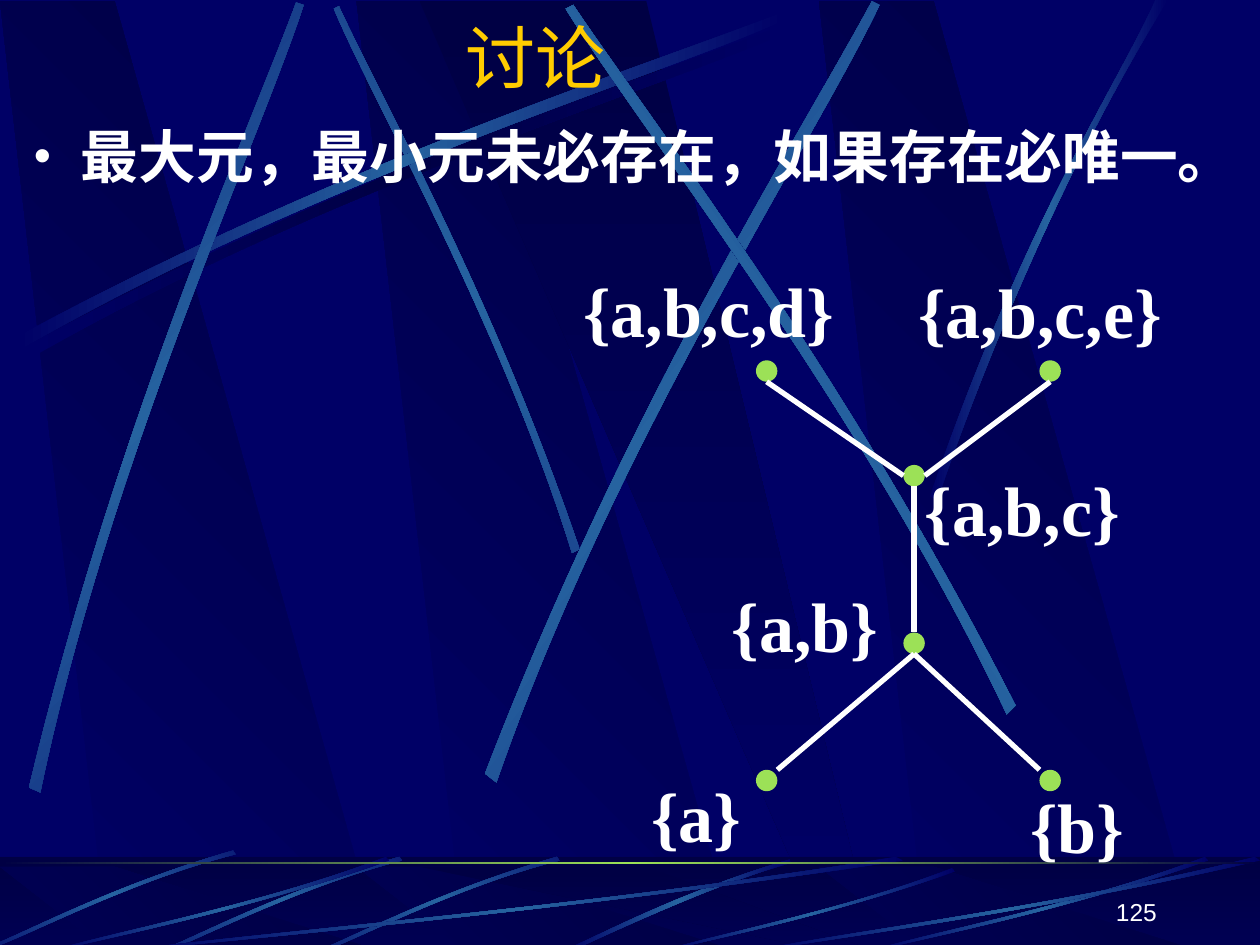
from dataclasses import dataclass
from math import cos, radians, sin

from lxml.etree import SubElement
from pptx import Presentation
from pptx.dml.color import RGBColor
from pptx.enum.shapes import MSO_CONNECTOR as Connector, MSO_SHAPE as Shape
from pptx.enum.text import MSO_ANCHOR as Anchor, MSO_AUTO_SIZE as AutoSize, PP_ALIGN as Align
from pptx.oxml.ns import qn
from pptx.util import Cm, Pt


@dataclass(frozen=True)
class Theme:
    navy: str = "000066"
    dark: str = "000044"
    blue: str = "2663A0"
    green: str = "9CE157"
    gold: str = "FFCC00"
    white: str = "FFFFFF"
    heading: str = "Montserrat"
    sans: str = "Arial"
    serif: str = "Times New Roman"
    title_size: int = 40
    body_size: int = 33
    label_size: int = 40
    number_size: int = 14
    edge_width: int = 3


THEME = Theme()
GLOW = (THEME.navy, THEME.blue, THEME.navy)
SHADE = (THEME.navy, THEME.dark, THEME.navy)
DOT = 0.17

# Bands: x, y as seen from the band's left edge, y as a share of its height
BAND = [(0.86, 1), (3.02, 1), (0.91, 0), (0, 0)]
WEDGE = [(0, 0), (3.25, 1), (3.61, 1), (1.8, 0)]

# Ribbons: two Bezier curves, there and back (4 points each)
LONG_RIBBON = [(0.14, 2.67), (2.78, 1.25), (5.18, 0.51), (6.2, 0.1),
               (6.23, 0.16), (5.22, 0.61), (2.48, 1.43), (0.17, 2.77)]
SHORT_RIBBON = [(4.6, 4.36), (3.91, 2.34), (3.02, 0.77), (2.69, 0.05),
                (2.65, 0.07), (2.95, 0.79), (3.98, 2.58), (4.54, 4.39)]
UPPER_RIBBONS = [
    (311.7, [(0.23, 6.25), (0.93, 3.34), (1.97, 1.05), (2.35, 0.02),
             (2.41, 0.04), (2.07, 1.09), (0.86, 3.68), (0.32, 6.29)]),
    (321.6, [(3.85, 6.14), (4.98, 3.2), (6.38, 1.02), (6.92, 0.01),
             (6.98, 0.04), (6.49, 1.08), (4.86, 3.55), (3.94, 6.21)]),
    (34.7, [(8.06, 5.6), (6.7, 2.93), (5.16, 0.95), (4.55, 0.04),
            (4.49, 0.07), (5.07, 1.01), (6.85, 3.25), (7.99, 5.67)]),
    (0, [(7.38, 3.94), (8.14, 1.73), (8.88, 0.66), (9.17, 0),
         (9.27, 0), (8.36, 1.45), (7.69, 3.22), (7.44, 3.97)]),
]
FOOT_RIBBON = [(6.27, 6.82), (5.37, 7.09), (4.77, 7.42), (4.48, 7.54),
               (4.53, 7.55), (4.9, 7.38), (5.71, 7), (6.28, 6.85)]
FOOT_TWIG = [(4.42, 6.8), (3.55, 7.05), (2.87, 7.4), (2.56, 7.53),
             (2.57, 7.55), (2.88, 7.43), (3.65, 7.03), (4.44, 6.83)]
SWEEP = [(1, 0.04), (0.57, 0.57), (0.17, 0.85), (0, 1),
         (0, 0.99), (0.16, 0.81), (0.62, 0.51), (0.99, 0)]
SWEEPS = [(1, 6.8, 6.17), (0.42, 6.8, 2.67), (5.27, 6.89, 2.31), (6.92, 6.8, 2.67), (6, 6.8, 4)]

# Hasse diagram: label -> dot corner, label corner and width
NODES = {
    "{a}": ((6, 6.11), (5.07, 5.95, 1.01)),
    "{b}": ((8.25, 6.11), (8.08, 6.04, 1.05)),
    "{a,b}": ((7.17, 5.02), (5.71, 4.44, 1.46)),
    "{a,b,c}": ((7.17, 3.69), (7.24, 3.52, 1.85)),
    "{a,b,c,d}": ((6, 2.86), (4.53, 1.94, 2.3)),
    "{a,b,c,e}": ((8.25, 2.86), (7.19, 1.95, 2.23)),
}
TOP, BOTTOM, LEFT, RIGHT = (0.5, 0), (0.5, 1), (0, 0.5), (1, 0.5)
TOP_LEFT, TOP_RIGHT = (0, 0), (1, 0)
EDGES = [
    ("{a,b,c}", BOTTOM, "{a,b}", TOP),
    ("{a,b,c,d}", BOTTOM, "{a,b,c}", LEFT),
    ("{a,b,c,e}", BOTTOM, "{a,b,c}", RIGHT),
    ("{a,b}", BOTTOM, "{a}", TOP_RIGHT),
    ("{a,b}", BOTTOM, "{b}", TOP_LEFT),
]


def grid(*values):
    """Layout units (2.54 cm each) as lengths."""
    return [Cm(2.54 * value) for value in values]


def turn(point, degrees):
    (x, y), angle = point, radians(degrees)
    return x * cos(angle) - y * sin(angle), x * sin(angle) + y * cos(angle)


def shift(points, dx, dy):
    return [(x + dx, y + dy) for x, y in points]


def paint(shape, colours, angle=0, alpha=None):
    """Fill with one colour, or with evenly spaced gradient colours."""
    shape.shadow.inherit = False
    shape.line.fill.background()
    if len(colours) == 1:
        shape.fill.solid()
        shape.fill.fore_color.rgb = RGBColor.from_string(colours[0])
        if alpha:
            colour = shape.fill._xPr.find(".//" + qn("a:srgbClr"))
            SubElement(colour, qn("a:alpha"), val=str(alpha * 1000))
        return
    shape.fill.gradient()
    gradient = shape.fill._xPr.find(qn("a:gradFill"))
    stops = gradient.find(qn("a:gsLst"))
    for stop in list(stops):
        stops.remove(stop)
    for index, colour in enumerate(colours):
        position = 100000 * index // (len(colours) - 1)
        stop = SubElement(stops, qn("a:gs"), pos=str(position))
        SubElement(stop, qn("a:srgbClr"), val=colour)
    gradient.find(qn("a:lin")).set("ang", str(round(angle * 60000)))


def add_outline(shapes, points, colours, angle=0, rotation=0):
    """Draw points in a frame turned by rotation, then turn the shape into place."""
    local = [turn(point, -rotation) for point in points]
    builder = shapes.build_freeform(*grid(*local[0]), scale=1.0)
    builder.add_line_segments([grid(*point) for point in local[1:]], close=True)
    shape = builder.convert_to_shape()
    centre = [(min(axis) + max(axis)) / 2 for axis in zip(*local)]
    x, y = grid(*turn(centre, rotation))
    shape.left, shape.top = x - shape.width // 2, y - shape.height // 2
    shape.rotation = rotation
    paint(shape, colours, angle)
    return shape


def add_ribbon(shapes, points, rotation=0, colours=GLOW, angle=0):
    """Outline whose two long sides become Bezier curves."""
    shape = add_outline(shapes, points, colours, angle, rotation)
    outline = shape._element.find(".//" + qn("a:path"))
    segments = outline.findall(qn("a:lnTo"))
    for side in (segments[:3], segments[4:7]):
        bezier = SubElement(outline, qn("a:cubicBezTo"))
        side[0].addprevious(bezier)
        for segment in side:
            bezier.append(segment[0])
            outline.remove(segment)


def add_bands(shapes, top, height):
    def placed(points, left):
        return [(left + x, top + height * y) for x, y in points]
    for left in (2.83, 0, 6.5):
        add_outline(shapes, placed(BAND, left), (THEME.navy, THEME.dark), 315)
    add_outline(shapes, placed(WEDGE, 3.33), (THEME.dark, THEME.navy), 90)


def add_filled(shapes, kind, box, colours, angle=0, alpha=None):
    paint(shapes.add_shape(kind, *grid(*box)), colours, angle, alpha)


def add_backdrop(slide, master):
    master.background.fill.solid()
    master.background.fill.fore_color.rgb = RGBColor.from_string(THEME.navy)
    group = slide.shapes.add_group_shape()
    shapes = group.shapes
    # Upper field
    add_bands(shapes, 0.01, 7.51)
    add_ribbon(shapes, shift(LONG_RIBBON, 0.06, 0.08), colours=SHADE)
    add_ribbon(shapes, SHORT_RIBBON, 45, angle=270)
    add_ribbon(shapes, LONG_RIBBON)
    for rotation, points in UPPER_RIBBONS:
        add_ribbon(shapes, points, rotation, angle=-2 * rotation % 360)
    # Footer strip
    footer = (0, 6.8, 10, 0.75)
    add_filled(shapes, Shape.RECTANGLE, footer, (THEME.dark, THEME.navy), 90)
    add_bands(shapes, 6.88, 0.67)
    add_filled(shapes, Shape.RECTANGLE, footer, (THEME.dark,), alpha=50)
    add_ribbon(shapes, FOOT_RIBBON)
    for dx, dy in ((0, 0), (-1.25, 0), (-2.57, -0.05)):
        add_ribbon(shapes, shift(FOOT_TWIG, dx, dy), 315)
    for left, top, width in SWEEPS:
        add_ribbon(shapes, [(left + width * x, top + (7.55 - top) * y) for x, y in SWEEP])
    add_filled(shapes, Shape.RECTANGLE, (0, 6.84, 10, 0.02), (THEME.dark, THEME.green, THEME.dark))
    # The backdrop belongs to the master, behind everything else
    master.shapes._spTree.insert(2, group._element)


def add_text(shapes, text, box, font, size, colour=THEME.white, bold=False,
             align=Align.LEFT, anchor=Anchor.TOP, wrap=True, spacing=None, bullet=False):
    frame = shapes.add_textbox(*grid(*box)).text_frame
    frame.word_wrap, frame.vertical_anchor = wrap, anchor
    frame.auto_size = AutoSize.NONE if wrap else AutoSize.SHAPE_TO_FIT_TEXT
    paragraph = frame.paragraphs[0]
    paragraph.text, paragraph.alignment = text, align
    paragraph.line_spacing = spacing
    if bullet:
        properties = paragraph._p.get_or_add_pPr()
        indent = Cm(0.95)
        properties.set("marL", str(indent))
        properties.set("indent", str(-indent))
        SubElement(properties, qn("a:buSzPct"), val="85000")
        SubElement(properties, qn("a:buFont"), typeface=THEME.sans)
        SubElement(properties, qn("a:buChar"), char="•")
    paragraph.font.name, paragraph.font.size = font, Pt(size)
    paragraph.font.bold = bold
    paragraph.font.color.rgb = RGBColor.from_string(colour)


def add_edge(shapes, start, start_side, end, end_side):
    ends = [NODES[node][0][axis] + DOT * side[axis]
            for node, side in ((start, start_side), (end, end_side)) for axis in (0, 1)]
    line = shapes.add_connector(Connector.STRAIGHT, *grid(*ends))
    line.line.color.rgb = RGBColor.from_string(THEME.white)
    line.line.width = Pt(THEME.edge_width)
    SubElement(line._element.spPr, qn("a:effectLst"))


def add_diagram(slide):
    shapes = slide.shapes.add_group_shape().shapes
    for corner, _ in NODES.values():
        add_filled(shapes, Shape.OVAL, (*corner, DOT, DOT), (THEME.green,))
    for edge in EDGES:
        add_edge(shapes, *edge)
    for label, (_, place) in NODES.items():
        add_text(shapes, label, (*place, 0.9), THEME.serif, THEME.label_size,
                 bold=True, wrap=False, spacing=1.2)


def main():
    presentation = Presentation()
    presentation.slide_width, presentation.slide_height = Cm(25.4), Cm(19.05)
    slide = presentation.slides.add_slide(presentation.slide_layouts[6])
    add_backdrop(slide, presentation.slide_master)
    add_text(slide.shapes, "讨论", (0, 0.06, 8.5, 0.77), THEME.heading, THEME.title_size,
             THEME.gold, align=Align.CENTER, anchor=Anchor.MIDDLE)
    add_text(slide.shapes, "最大元，最小元未必存在，如果存在必唯一。", (0.17, 0.91, 9.67, 5.75),
             THEME.sans, THEME.body_size, bold=True, bullet=True)
    add_diagram(slide)
    add_text(slide.shapes, "125", (7.2, 6.9, 2.08, 0.5), THEME.sans, THEME.number_size,
             align=Align.RIGHT, anchor=Anchor.BOTTOM)
    presentation.save("out.pptx")


if __name__ == "__main__":
    main()
